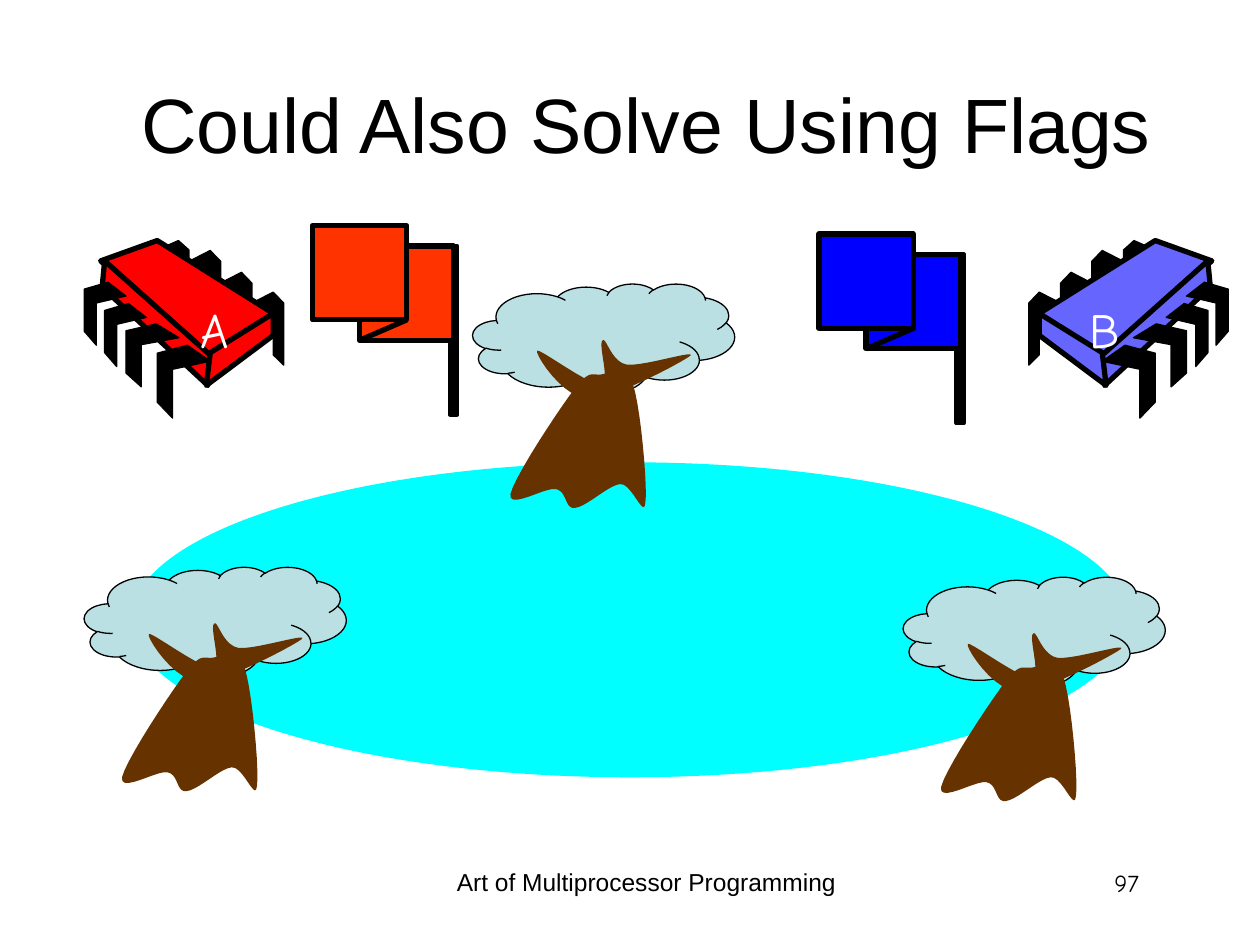
from lxml.etree import SubElement
from pptx import Presentation
from pptx.dml.color import RGBColor
from pptx.enum.shapes import MSO_CONNECTOR, MSO_SHAPE
from pptx.enum.text import MSO_ANCHOR, MSO_AUTO_SIZE, PP_ALIGN
from pptx.oxml.ns import qn
from pptx.util import Cm, Pt

COLORS = {
    "ink": "000000", "label": "FFFFFF", "lake": "00FFFF",
    "leaves": "BBE0E3", "wood": "663300",
    "chip_a": "FF0000", "chip_b": "6666FF",
    "flag_a": "FF3300", "flag_b": "0000FF",
}

# Pin outlines as fractions of the pin's own box
BACK_PIN = [(0, .15), (.67, 0), (1, .15), (1, 1), (.67, .86), (.67, .29), (0, .43)]
FRONT_PIN = [(.57, 0), (1, .22), (.29, .33), (.29, 1), (0, .78), (0, .11)]

# Pin boxes and faces in cm from the chip's corner
CHIP_WIDTH = 4.01
BACK_PINS = [(3.38, 1.04, .64, 1.47), (2.74, .64, .64, 1.47),
             (2.11, .2, .64, 1.47), (1.47, 0, .64, 1.27)]
FRONT_PINS = [(1.47, 2.11, 1.07, 1.47), (.84, 1.68, 1.07, 1.27),
              (.41, 1.27, .84, 1.27), (0, .84, .84, 1.27)]
CHIP_FACES = [
    [(1.47, 0), (3.81, 1.47), (2.49, 2.36), (.33, .41)],
    [(.41, .41), (2.54, 2.31), (2.49, 2.92), (.36, .94)],
    [(3.81, 1.47), (3.81, 1.91), (2.46, 2.92), (2.54, 2.26)],
]

# Curves in cm from the tree's corner: a start, then two handles and an end each
TRUNK = [
    (2.06, 2.11),
    (2.36, 1.73), (2.39, 1.85), (2.59, 1.83),
    (2.77, 1.8), (3.07, 1.6), (3.23, 2.03),
    (3.38, 2.46), (3.53, 4.09), (3.48, 4.42),
    (3.45, 4.75), (3.2, 4.01), (2.97, 4.04),
    (2.74, 4.06), (2.29, 4.5), (2.06, 4.52),
    (1.85, 4.55), (1.91, 4.19), (1.68, 4.14),
    (1.47, 4.09), (.71, 4.57), (.76, 4.24),
    (.84, 3.89), (1.75, 2.51), (2.06, 2.11),
]
BRANCHES = [
    (1.3, 1.35),
    (1.24, 1.4), (1.8, 2.29), (2.31, 2.31),
    (2.84, 2.34), (4.27, 1.55), (4.39, 1.45),
    (4.52, 1.32), (3.4, 1.68), (3.1, 1.63),
    (2.79, 1.57), (2.69, 1.07), (2.62, 1.14),
    (2.51, 1.19), (2.79, 1.98), (2.59, 2.03),
    (2.36, 2.06), (1.35, 1.3), (1.3, 1.35),
]


def color(name):
    return RGBColor.from_string(COLORS[name])


def paint(shape, fill, line_width=0):
    shape.shadow.inherit = False
    shape.fill.solid()
    shape.fill.fore_color.rgb = color(fill)
    if line_width:
        shape.line.color.rgb = color("ink")
        shape.line.width = Pt(line_width)
    else:
        shape.line.fill.background()


def add_preset(slide, preset, box, fill, line_width=0):
    shape = slide.shapes.add_shape(preset, *map(Cm, box))
    paint(shape, fill, line_width)
    return shape


def add_outline(slide, left, top, points, fill, line_width=0):
    corners = [(Cm(x), Cm(y)) for x, y in points]
    builder = slide.shapes.build_freeform(*corners[0], scale=1.0)
    builder.add_line_segments(corners[1:], close=True)
    paint(builder.convert_to_shape(Cm(left), Cm(top)), fill, line_width)


def add_text(slide, box, text, size, font, align, ink="ink",
             anchor=MSO_ANCHOR.TOP, wrap=True):
    frame = slide.shapes.add_textbox(*map(Cm, box)).text_frame
    fit = MSO_AUTO_SIZE.NONE if wrap else MSO_AUTO_SIZE.SHAPE_TO_FIT_TEXT
    for key, value in {"word_wrap": wrap, "auto_size": fit,
                       "vertical_anchor": anchor}.items():
        setattr(frame, key, value)
    paragraph = frame.paragraphs[0]
    paragraph.alignment = align
    run = paragraph.add_run()
    run.text = text
    for key, value in {"size": Pt(size), "name": font}.items():
        setattr(run.font, key, value)
    run.font.color.rgb = color(ink)


def smooth_curve(points, steps=10):
    """Sample a chain of cubic curves."""
    samples = [points[0]]
    for i in range(0, len(points) - 1, 3):
        for step in range(1, steps + 1):
            t = step / steps
            weights = ((1 - t) ** 3, 3 * t * (1 - t) ** 2, 3 * t * t * (1 - t), t ** 3)
            samples.append(tuple(
                sum(w * p[axis] for w, p in zip(weights, points[i:i + 4]))
                for axis in (0, 1)))
    return samples


def add_chip(slide, left, top, fill, letter, label_box, mirrored=False):
    def draw(points, *style):
        if mirrored:
            points = [(CHIP_WIDTH - x, y) for x, y in points]
        add_outline(slide, left, top, points, *style)

    def draw_pins(outline, boxes):
        for x, y, width, height in boxes:
            draw([(x + u * width, y + v * height) for u, v in outline], "ink", .75)

    draw_pins(BACK_PIN, BACK_PINS)
    for face in CHIP_FACES:
        draw(face, fill, 3)
    draw_pins(FRONT_PIN, FRONT_PINS)
    x, y, width, height = label_box
    add_text(slide, (left + x, top + y, width, height), letter, 28, "Comic Neue",
             PP_ALIGN.RIGHT, "label", wrap=False)


def add_tree(slide, left, top):
    crown = add_preset(slide, MSO_SHAPE.CLOUD_CALLOUT, (left, top, 5.28, 2.21),
                       "leaves", .75)
    crown.adjustments[0], crown.adjustments[1] = .018, .493
    for wood in (TRUNK, BRANCHES):
        add_outline(slide, left, top, smooth_curve(wood), "wood")


def add_flag(slide, left, top, fill):
    side, fold_drop = 1.9, .41
    half = side / 2
    back_top = top + fold_drop
    add_preset(slide, MSO_SHAPE.RECTANGLE, (left + 2.77, back_top, .15, 3.4), "ink", 2.25)
    add_preset(slide, MSO_SHAPE.RECTANGLE, (left + half, back_top, side, side), fill, 3)
    fold = slide.shapes.add_connector(
        MSO_CONNECTOR.STRAIGHT, Cm(left + half), Cm(back_top + side),
        Cm(left + side), Cm(top + side))
    fold.line.color.rgb = color("ink")
    fold.line.width = Pt(3)
    SubElement(fold._element.spPr, qn("a:effectLst"))
    add_preset(slide, MSO_SHAPE.RECTANGLE, (left, top, side, side), fill, 3)


def main():
    deck = Presentation()
    deck.slide_width, deck.slide_height = Cm(25.4), Cm(19.05)
    slide = deck.slides.add_slide(deck.slide_layouts[6])

    # Title
    add_text(slide, (2.24, .89, 21.59, 3.18), "Could Also Solve Using Flags", 44,
             "Arial", PP_ALIGN.CENTER, anchor=MSO_ANCHOR.MIDDLE)

    # Chips facing each other
    add_chip(slide, 1.7, 4.85, "chip_a", "A", (1.93, 1.07, 1.24, 1.45))
    add_chip(slide, 20.75, 4.85, "chip_b", "B", (.94, 1.07, 1.14, 1.45), mirrored=True)

    # Lake with its trees
    add_preset(slide, MSO_SHAPE.OVAL, (2.64, 9.32, 20.12, 6.35), "lake")
    for left, top in ((9.53, 5.72), (18.21, 11.63), (1.7, 11.43)):
        add_tree(slide, left, top)

    # Flags
    add_flag(slide, 16.51, 4.72, "flag_b")
    add_flag(slide, 6.3, 4.55, "flag_a")

    # Footer and page number
    add_text(slide, (8.69, 17.35, 8.69, 1.32), "Art of Multiprocessor Programming",
             14, "Arial", PP_ALIGN.CENTER)
    add_text(slide, (17.93, 17.37, 5.28, 1.27), "97", 14, "Comic Neue", PP_ALIGN.RIGHT)

    deck.save("out.pptx")


if __name__ == "__main__":
    main()
